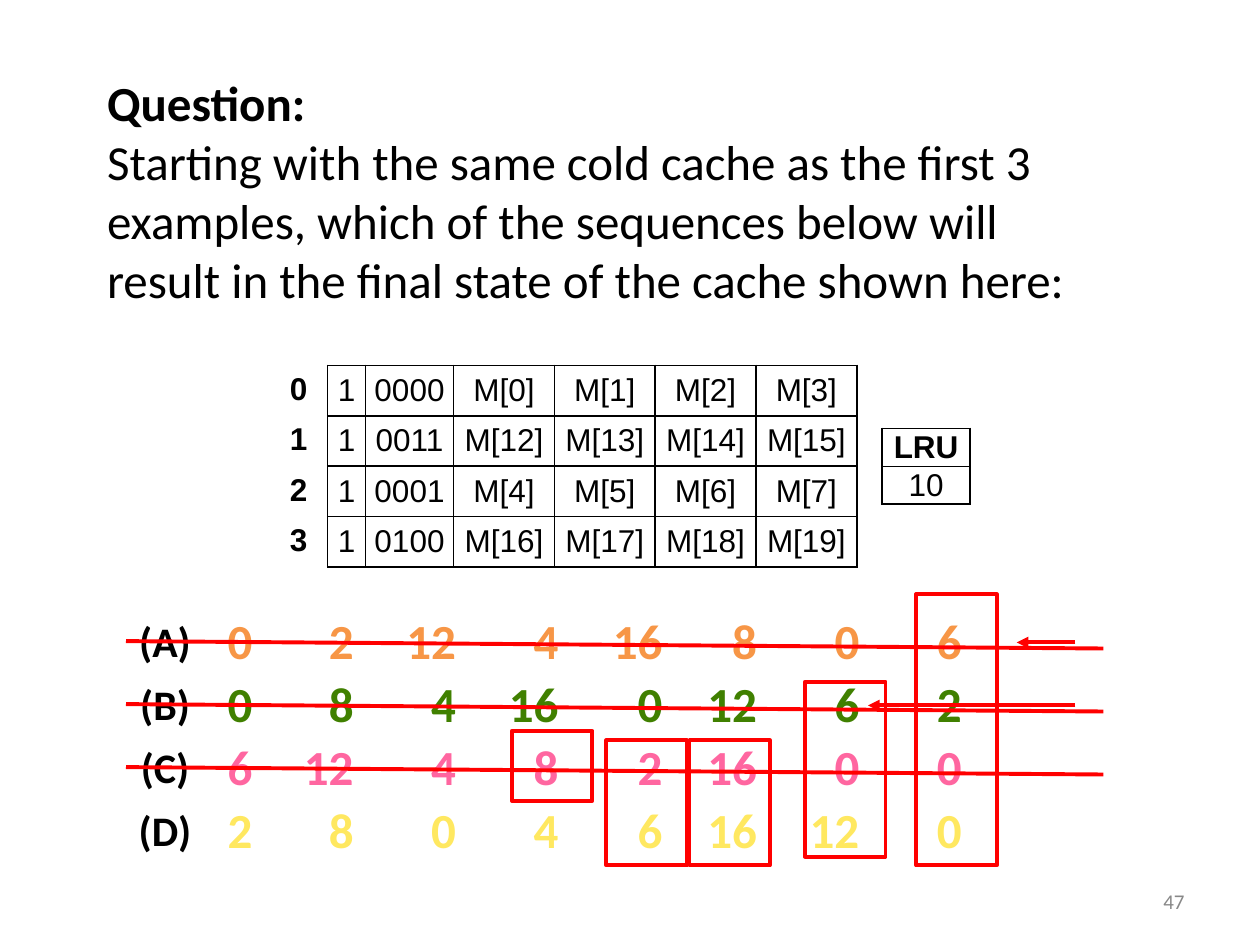
import pptx
import pptx.util
import pptx.dml.color
import pptx.enum.shapes
import pptx.enum.text
import pptx.oxml
import pptx.oxml.ns
from lxml import etree

Pt = pptx.util.Pt
qn = pptx.oxml.ns.qn
ALIGN = pptx.enum.text.PP_ALIGN
ANCHOR = pptx.enum.text.MSO_ANCHOR

BLACK, WHITE, RED, GRAY = "000000", "FFFFFF", "FF0000", "888888"
PLAIN_TABLE_STYLE = "{2D5ABB26-0587-4C30-8999-92F81FD0307C}"
ROW_PITCH = 36
NUMBER_STOPS = [72, 130.5, 189, 248.5, 302.5, 361, 419.5]

SEQUENCES = [
    ("(A)", "F79646", [0, 2, 12, 4, 16, 8, 0, 6]),
    ("(B)", "408000", [0, 8, 4, 16, 0, 12, 6, 2]),
    ("(C)", "FF66A0", [6, 12, 4, 8, 2, 16, 0, 0]),
    ("(D)", "FFE860", [2, 8, 0, 4, 6, 16, 12, 0]),
]
CACHE_LINES = [("0000", 0), ("0011", 12), ("0001", 4), ("0100", 16)]


def rgb(value):
    return pptx.dml.color.RGBColor.from_string(value)


def style(paragraph, size, color=BLACK, bold=False, font="Calibri", align=ALIGN.LEFT):
    paragraph.alignment = align
    paragraph.font.size = Pt(size)
    paragraph.font.name = font
    paragraph.font.bold = bold
    paragraph.font.color.rgb = rgb(color)


def add_text(slide, box, text, size, stops=(), anchor=ANCHOR.TOP, **look):
    frame = slide.shapes.add_textbox(*map(Pt, box)).text_frame
    frame.word_wrap = True
    frame.vertical_anchor = anchor
    paragraph = frame.paragraphs[0]
    paragraph.text = text
    if stops:
        tabs = etree.SubElement(paragraph._p.get_or_add_pPr(), qn("a:tabLst"))
        for stop in stops:
            etree.SubElement(tabs, qn("a:tab"), pos=str(Pt(stop)), algn="r")
    style(paragraph, size, **look)


def add_question(slide, box, heading, question):
    title = slide.shapes.title
    title.left, title.top, title.width, title.height = map(Pt, box)
    frame = title.text_frame
    frame.word_wrap = True
    frame.auto_size = pptx.enum.text.MSO_AUTO_SIZE.NONE
    frame.vertical_anchor = ANCHOR.TOP
    frame.paragraphs[0].text = heading
    style(frame.paragraphs[0], 28, bold=True)
    body = frame.add_paragraph()
    body.text = question
    style(body, 28)


def add_borders(cell):
    properties = cell._tc.get_or_add_tcPr()
    for index, side in enumerate(("a:lnL", "a:lnR", "a:lnT", "a:lnB")):
        line = etree.Element(qn(side), w=str(Pt(1)))
        fill = etree.SubElement(line, qn("a:solidFill"))
        etree.SubElement(fill, qn("a:srgbClr"), val=BLACK)
        properties.insert(index, line)


def add_grid(slide, left, top, widths, row_height, rows, framed=True, bold_rows=()):
    """Centred table; framed cells are white with black borders and no margins."""
    frame = slide.shapes.add_table(len(rows), len(widths), Pt(left), Pt(top),
                                   Pt(sum(widths)), Pt(row_height * len(rows)))
    table = frame.table
    table.first_row = table.horz_banding = False
    table._tbl.tblPr.find(qn("a:tableStyleId")).text = PLAIN_TABLE_STYLE
    for column, width in zip(table.columns, widths):
        column.width = Pt(width)
    for r, texts in enumerate(rows):
        table.rows[r].height = Pt(row_height)
        for c, text in enumerate(texts):
            cell = table.cell(r, c)
            cell.text = text
            style(cell.text_frame.paragraphs[0], 18, bold=r in bold_rows,
                  font="Arial", align=ALIGN.CENTER)
            if framed:
                cell.margin_left = cell.margin_right = 0
                cell.margin_top = cell.margin_bottom = 0
                cell.vertical_anchor = ANCHOR.MIDDLE
                cell.fill.solid()
                cell.fill.fore_color.rgb = rgb(WHITE)
                add_borders(cell)
            else:
                cell.fill.background()


def add_cache(slide, left, top):
    """Cache contents, with the LRU box and the set indexes at its sides."""
    lines = [["1", tag] + [f"M[{first + i}]" for i in range(4)]
             for tag, first in CACHE_LINES]
    add_grid(slide, left, top, [21.6, 50.4] + [57.6] * 4, 28.8, lines)
    add_grid(slide, left + 316.8, top + 36, [50.4], 21.6, [["LRU"], ["10"]],
             bold_rows=[0])
    indexes = [[str(i)] for i in range(len(lines))]
    add_grid(slide, left - 28.8, top, [21.6], 27.5, indexes,
             framed=False, bold_rows=range(len(lines)))


def add_sequences(slide, left, top):
    for i, (label, color, numbers) in enumerate(SEQUENCES):
        y = top + i * ROW_PITCH
        add_text(slide, (left + 51, y, 446.4, 41), "\t".join(map(str, numbers)),
                 28, stops=NUMBER_STOPS, color=color, bold=True)
        add_text(slide, (left, y + 2.5, 44.6, 36), label, 24, bold=True,
                 align=ALIGN.CENTER)


def add_red_line(slide, start, end, arrow=False):
    line = slide.shapes.add_connector(pptx.enum.shapes.MSO_CONNECTOR.STRAIGHT,
                                      *map(Pt, start + end))
    line.line.color.rgb = rgb(RED)
    line.line.width = Pt(2.25)
    if arrow:
        etree.SubElement(line.line._get_or_add_ln(), qn("a:tailEnd"), type="triangle")
    etree.SubElement(line._element.spPr, qn("a:effectLst"))


def add_red_box(slide, left, top, height):
    box = slide.shapes.add_shape(pptx.enum.shapes.MSO_SHAPE.RECTANGLE,
                                 Pt(left), Pt(top), Pt(46), Pt(height))
    box.shadow.inherit = False
    box.fill.background()
    box.line.color.rgb = rgb(RED)
    box.line.width = Pt(2.25)


def add_marks(slide, left, top):
    """Boxes, arrows and strikes over the sequences that start at left, top."""
    for x, y, height in [(451.5, -6, 155), (388, 44, 100), (322, 77.5, 71.5),
                         (274.5, 77.5, 71.5), (220.5, 72, 40)]:
        add_red_box(slide, left + x, top + y, height)
    for i, tip in enumerate((509, 424)):
        y = top + 21.5 + i * ROW_PITCH
        add_red_line(slide, (left + 542.5, y), (left + tip, y), arrow=True)
    for i in range(3):
        y = top + i * ROW_PITCH
        add_red_line(slide, (left + 558.5, y + 25), (left, y + 20.75))


def main():
    deck = pptx.Presentation()
    deck.slide_width, deck.slide_height = Pt(720), Pt(540)
    slide = deck.slides.add_slide(deck.slide_layouts[5])
    add_text(slide, (516, 500.5, 168, 28.8), "47", 12, anchor=ANCHOR.MIDDLE,
             color=GRAY, align=ALIGN.RIGHT)
    add_question(slide, (54, 38, 576, 143), "Question:",
                 "Starting with the same cold cache as the first 3 examples, "
                 "which of the sequences below will result in the final state "
                 "of the cache shown here:")
    add_sequences(slide, 72, 345.6)
    add_cache(slide, 187.2, 208.8)
    add_marks(slide, 72, 345.6)
    deck.save("out.pptx")


if __name__ == "__main__":
    main()
